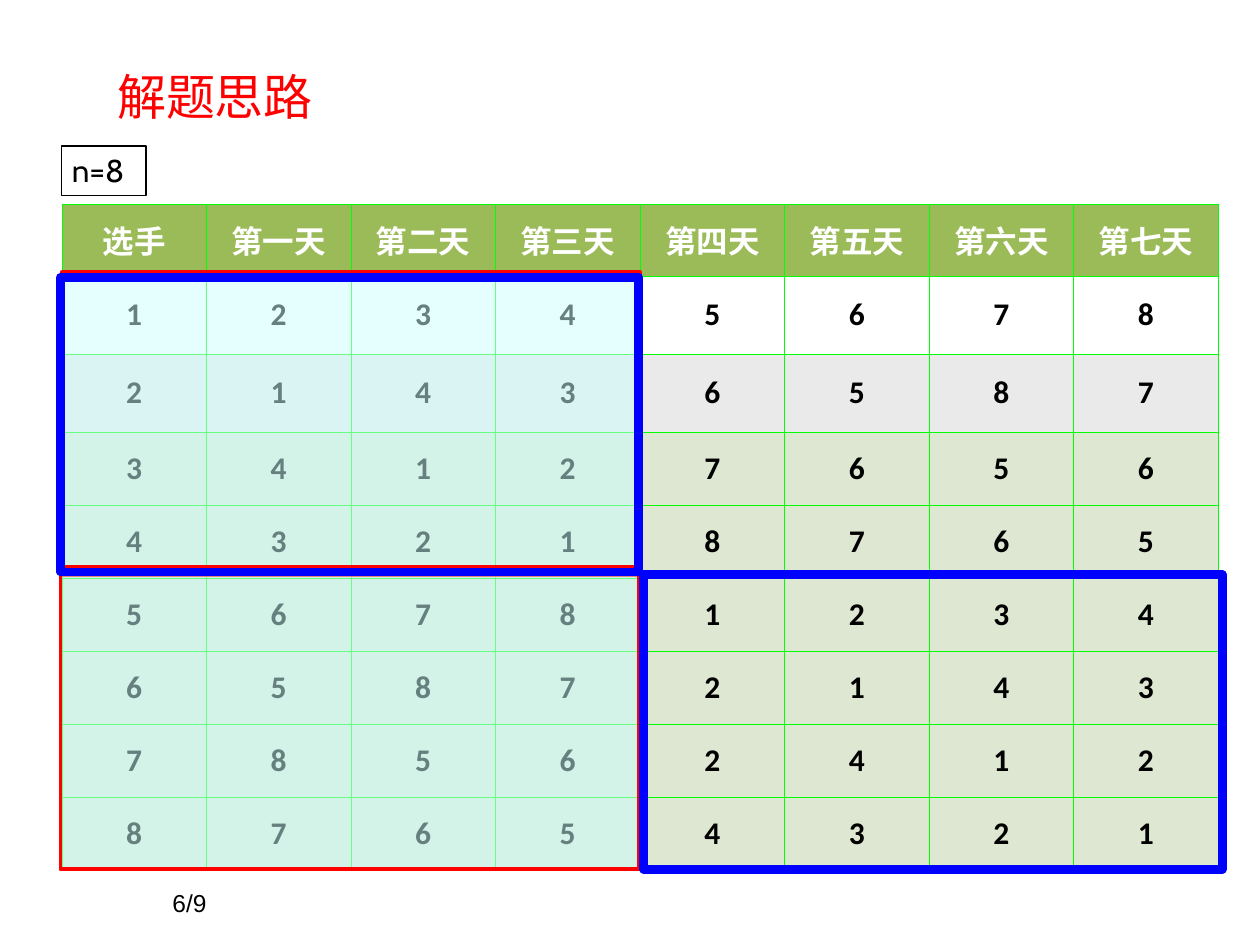
from lxml import etree
from pptx import Presentation
from pptx.dml.color import RGBColor
from pptx.enum.shapes import MSO_CONNECTOR, MSO_SHAPE
from pptx.enum.text import MSO_ANCHOR, PP_ALIGN
from pptx.oxml import parse_xml
from pptx.oxml.ns import nsdecls, qn
from pptx.util import Inches, Pt

RECT = MSO_SHAPE.RECTANGLE
LINE = MSO_CONNECTOR.STRAIGHT
LEFT, CENTER = PP_ALIGN.LEFT, PP_ALIGN.CENTER
TOP, MIDDLE, BOTTOM = MSO_ANCHOR.TOP, MSO_ANCHOR.MIDDLE, MSO_ANCHOR.BOTTOM

COLORS = {
    "black": "000000", "white": "FFFFFF", "red": "FF0000", "blue": "0000FF",
    "lime": "00FF00", "olive": "9BBB59", "gray": "EAEAEA", "sage": "DEE7D1",
    "aqua": "CCFFFF",
}


def rgb(name):
    return RGBColor.from_string(COLORS[name])


def write(frame, text, size, font, color, align=LEFT, anchor=TOP, bold=False):
    frame.word_wrap = True
    frame.vertical_anchor = anchor
    par = frame.paragraphs[0]
    par.alignment = align
    run = par.add_run()
    run.text = text
    look = {"size": Pt(size), "name": font, "bold": bold}
    for key, value in look.items():
        setattr(run.font, key, value)
    run.font.color.rgb = rgb(color)


prs = Presentation()
prs.slide_width, prs.slide_height = Inches(10), Inches(7.5)
slide = prs.slides.add_slide(prs.slide_layouts[5])
shapes = slide.shapes

# Page number, title and case label
page = shapes.add_textbox(Inches(1.27), Inches(6.83), Inches(2.08), Inches(0.5))
write(page.text_frame, "6/9", 14, "Arial", "black", anchor=BOTTOM)

title = shapes.title
place = {"left": 0.83, "top": 0.5, "width": 6.76, "height": 0.53}
for key, value in place.items():
    setattr(title, key, Inches(value))
write(title.text_frame, "解题思路", 28, "Arial", "red", anchor=MIDDLE)

label = shapes.add_textbox(Inches(0.49), Inches(1.16), Inches(0.67), Inches(0.39))
label.line.color.rgb = rgb("black")
label.line.width = Pt(0.75)
inset = {"margin_left": 0.08, "margin_right": 0.08,
         "margin_top": 0.04, "margin_bottom": 0.04}
for key, value in inset.items():
    setattr(label.text_frame, key, Inches(value))
write(label.text_frame, "n=8", 18, "Cabin", "black")

# Match schedule: one row per player, one column per day
HEAD = ["选手"] + [f"第{day}天" for day in "一二三四五六七"]
GAMES = ["12345678", "21436587", "34127656", "43218765",
         "56781234", "65872143", "78562412", "87654321"]
HIGH = [0.57, 0.62, 0.62] + [0.58] * 6
FILLS = ["olive", None, "gray"] + ["sage"] * 6

rows = [HEAD] + GAMES
table = shapes.add_table(len(rows), len(HEAD), Inches(0.49), Inches(1.62),
                         Inches(9.18), Inches(sum(HIGH))).table
table.horz_banding = False
for col in table.columns:
    col.width = Inches(9.18 / len(HEAD))
for r, (row, high, fill) in enumerate(zip(rows, HIGH, FILLS)):
    table.rows[r].height = Inches(high)
    for c, text in enumerate(row):
        cell = table.cell(r, c)
        write(cell.text_frame, text, 18, "Calibri",
              "black" if r else "white", CENTER, bold=True)
        cell.vertical_anchor = MIDDLE
        props = cell._tc.get_or_add_tcPr()
        for side in ("lnL", "lnR", "lnT", "lnB"):
            props.append(parse_xml(
                f'<a:{side} {nsdecls("a")} w="{Pt(0.25)}"><a:solidFill>'
                f'<a:srgbClr val="{COLORS["lime"]}"/></a:solidFill></a:{side}>'))
        if fill:
            cell.fill.solid()
            cell.fill.fore_color.rgb = rgb(fill)
        else:
            cell.fill.background()

# Quadrant frames, with the divider drawn after the first one
FRAMES = [
    (0.49, 2.16, "aqua", "red", 2.25),
    (0.48, 4.56, "aqua", "red", 2.25),
    (5.11, 4.56, None, "blue", 5),
    (0.48, 2.2, None, "blue", 5),
]
for n, (left, top, fill, edge, width) in enumerate(FRAMES):
    frame = shapes.add_shape(RECT, Inches(left), Inches(top),
                             Inches(4.59), Inches(2.34))
    frame.shadow.inherit = False
    frame.line.color.rgb = rgb(edge)
    frame.line.width = Pt(width)
    if fill:
        frame.fill.solid()
        frame.fill.fore_color.rgb = rgb(fill)
        tint = frame._element.spPr.find(qn("a:solidFill"))[0]
        etree.SubElement(tint, qn("a:alpha"), val="50000")
    else:
        frame.fill.background()
    if n == 0:
        rule = shapes.add_connector(LINE, Inches(0.49), Inches(4.56),
                                    Inches(9.67), Inches(4.56))
        rule.line.color.rgb = rgb("red")
        rule.line.width = Pt(3)
        etree.SubElement(rule._element.spPr, qn("a:effectLst"))

prs.save("out.pptx")
